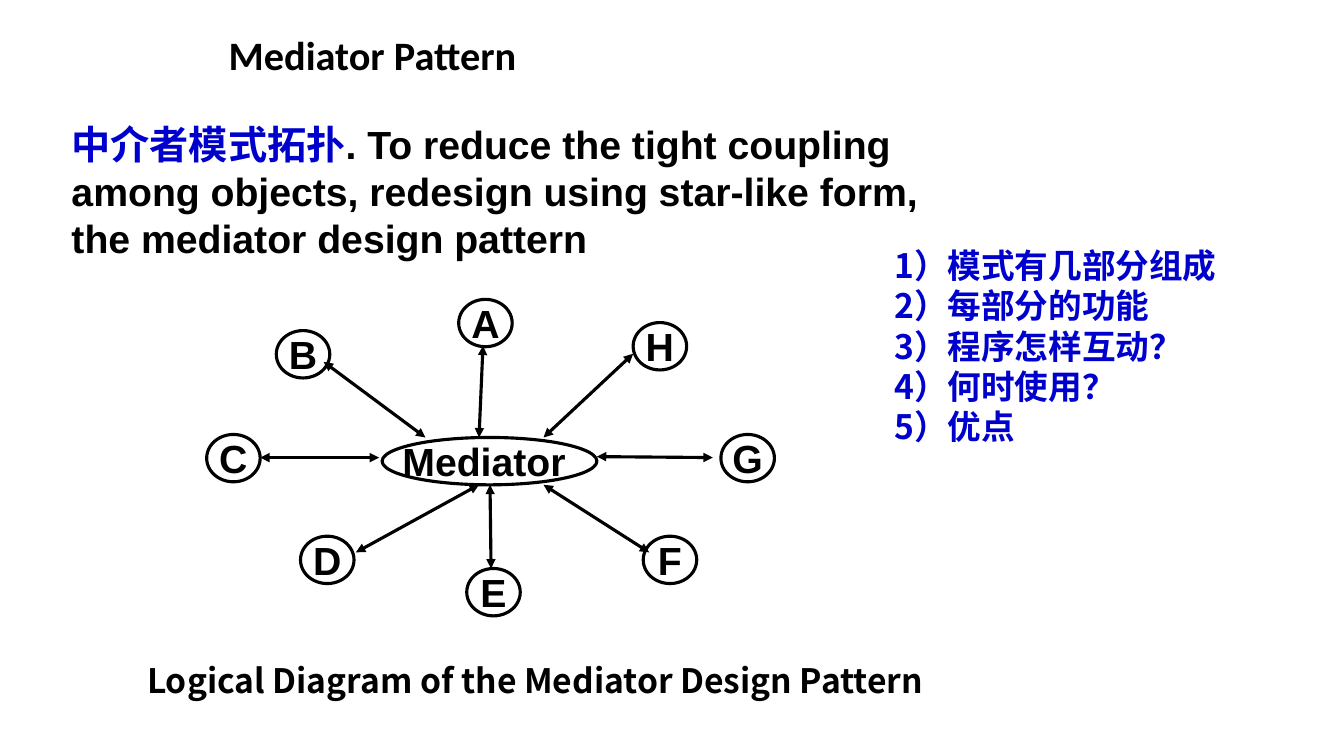
from dataclasses import dataclass

from lxml.etree import SubElement
from pptx import Presentation
from pptx.dml.color import RGBColor
from pptx.enum.shapes import MSO_CONNECTOR as Connector, MSO_SHAPE as Shape
from pptx.enum.text import MSO_ANCHOR as Anchor, PP_ALIGN as Align
from pptx.oxml.ns import qn
from pptx.util import Inches, Pt


@dataclass(frozen=True)
class Theme:
    ink: RGBColor = RGBColor(0, 0, 0)
    accent: RGBColor = RGBColor(0, 0, 0xCC)
    paper: RGBColor = RGBColor(255, 255, 255)
    title_font: str = "Calibri"
    latin_font: str = "Arial"
    chinese_font: str = "Noto Sans CJK SC"
    title_size: float = 28.8
    body_size: float = 28
    note_size: float = 24
    stroke: float = 2.25


THEME = Theme()
WIDTH, HEIGHT = Inches(13.33), Inches(7.5)

# Boxes are left, top, width, height on a grid of 100 columns and 100 rows
TITLE_BOX = (16.28, 4, 67.5, 7.2)
INTRO_BOX = (4.58, 15.2, 65.57, 20.13)
QUESTIONS_BOX = (65.8, 31.73, 31.2, 28.27)
DIAGRAM_BOX = (15.38, 39.6, 42.24, 41.87)
CAPTION_BOX = (8.18, 86.67, 63.24, 6.67)

# Offsets from the diagram's corner, in columns and rows
NODE_SIZE = (3.98, 6.27)
NODES = {
    "A": (18.75, 0), "B": (5.18, 4.13), "C": (0, 17.87), "D": (6.98, 31.33),
    "E": (19.35, 35.6), "F": (32.48, 31.33), "G": (38.26, 17.87),
    "H": (31.73, 3.07),
}
MEDIATOR = (13.05, 18.27, 15.98, 6.27)
HUB_TOP, HUB_BOTTOM = 18.27, 24.53
LINKS = {
    "A": (20.56, 6.13, 20.26, HUB_TOP),
    "B": (8.7, 8.27, 16.28, HUB_TOP),
    "C": (3.98, 20.93, 12.83, 20.93),
    "D": (11.1, 33.47, 20.26, HUB_BOTTOM),
    "E": (21.08, HUB_BOTTOM, 21.16, 35.6),
    "F": (25.06, HUB_BOTTOM, 32.93, 33.47),
    "G": (29.03, 20.8, 37.66, 20.93),
    "H": (31.73, 7.2, 25.06, HUB_TOP),
}

QUESTIONS = ["模式有几部分组成", "每部分的功能", "程序怎样互动？", "何时使用？", "优点"]


def on_grid(left, top, right, bottom):
    """Turn two column and row pairs into slide lengths."""
    return [round(share * side / 100) for share, side in
            zip((left, top, right, bottom), (WIDTH, HEIGHT) * 2)]


def add_span(para, text, font, size, color=THEME.ink):
    span = para.add_run()
    span.text = text
    for name, value in {"name": font, "size": Pt(size), "bold": True}.items():
        setattr(span.font, name, value)
    span.font.color.rgb = color
    # East Asian letters need their own typeface entry
    SubElement(span._r.get_or_add_rPr(), qn("a:ea"), typeface=font)


def add_text_frame(page, box):
    frame = page.shapes.add_textbox(*on_grid(*box)).text_frame
    frame.word_wrap = True
    return frame


def add_title(page, box):
    frame = add_text_frame(page, box)
    frame.vertical_anchor = Anchor.MIDDLE
    para = frame.paragraphs[0]
    para.line_spacing = 0.9
    add_span(para, "Mediator Pattern", THEME.title_font, THEME.title_size)


def add_intro(page, box):
    para = add_text_frame(page, box).paragraphs[0]
    add_span(para, "中介者模式拓扑", THEME.chinese_font, THEME.body_size, THEME.accent)
    add_span(para, ". To reduce the tight coupling among objects, redesign using "
             "star-like form, the mediator design pattern",
             THEME.latin_font, THEME.body_size)


def add_questions(page, box):
    frame = add_text_frame(page, box)
    for number, question in enumerate(QUESTIONS, 1):
        para = frame.paragraphs[0] if number == 1 else frame.add_paragraph()
        add_span(para, f"{number}）{question}", THEME.chinese_font,
                 THEME.note_size, THEME.accent)


def add_caption(page, box):
    para = add_text_frame(page, box).paragraphs[0]
    para.alignment = Align.CENTER
    add_span(para, "Logical Diagram of the Mediator Design Pattern",
             THEME.chinese_font, THEME.note_size)


def add_node(group, box, label):
    node = group.shapes.add_shape(Shape.OVAL, *on_grid(*box))
    node.shadow.inherit = False
    node.fill.solid()
    node.fill.fore_color.rgb = THEME.paper
    node.line.color.rgb = THEME.ink
    node.line.width = Pt(THEME.stroke)
    frame = node.text_frame
    frame.word_wrap = False
    frame.vertical_anchor = Anchor.MIDDLE
    frame.paragraphs[0].alignment = Align.CENTER
    add_span(frame.paragraphs[0], label, THEME.latin_font, THEME.body_size)


def add_link(group, ends):
    link = group.shapes.add_connector(Connector.STRAIGHT, *on_grid(*ends))
    link.line.color.rgb = THEME.ink
    link.line.width = Pt(THEME.stroke)
    properties = link.element.spPr
    for tip in ("a:headEnd", "a:tailEnd"):
        SubElement(properties.find(qn("a:ln")), qn(tip), type="triangle")
    SubElement(properties, qn("a:effectLst"))


def add_diagram(page, box):
    left, top = box[:2]
    group = page.shapes.add_group_shape()
    # Outer objects, then the mediator in the middle
    for label, (column, row) in NODES.items():
        add_node(group, (left + column, top + row, *NODE_SIZE), label)
    column, row, *size = MEDIATOR
    add_node(group, (left + column, top + row, *size), "Mediator ")
    # Two-way arrows
    for x1, y1, x2, y2 in LINKS.values():
        add_link(group, (left + x1, top + y1, left + x2, top + y2))


def main():
    deck = Presentation()
    deck.slide_width, deck.slide_height = WIDTH, HEIGHT
    page = deck.slides.add_slide(deck.slide_layouts[6])
    add_title(page, TITLE_BOX)
    add_diagram(page, DIAGRAM_BOX)
    add_caption(page, CAPTION_BOX)
    add_intro(page, INTRO_BOX)
    add_questions(page, QUESTIONS_BOX)
    deck.save("out.pptx")


if __name__ == "__main__":
    main()
